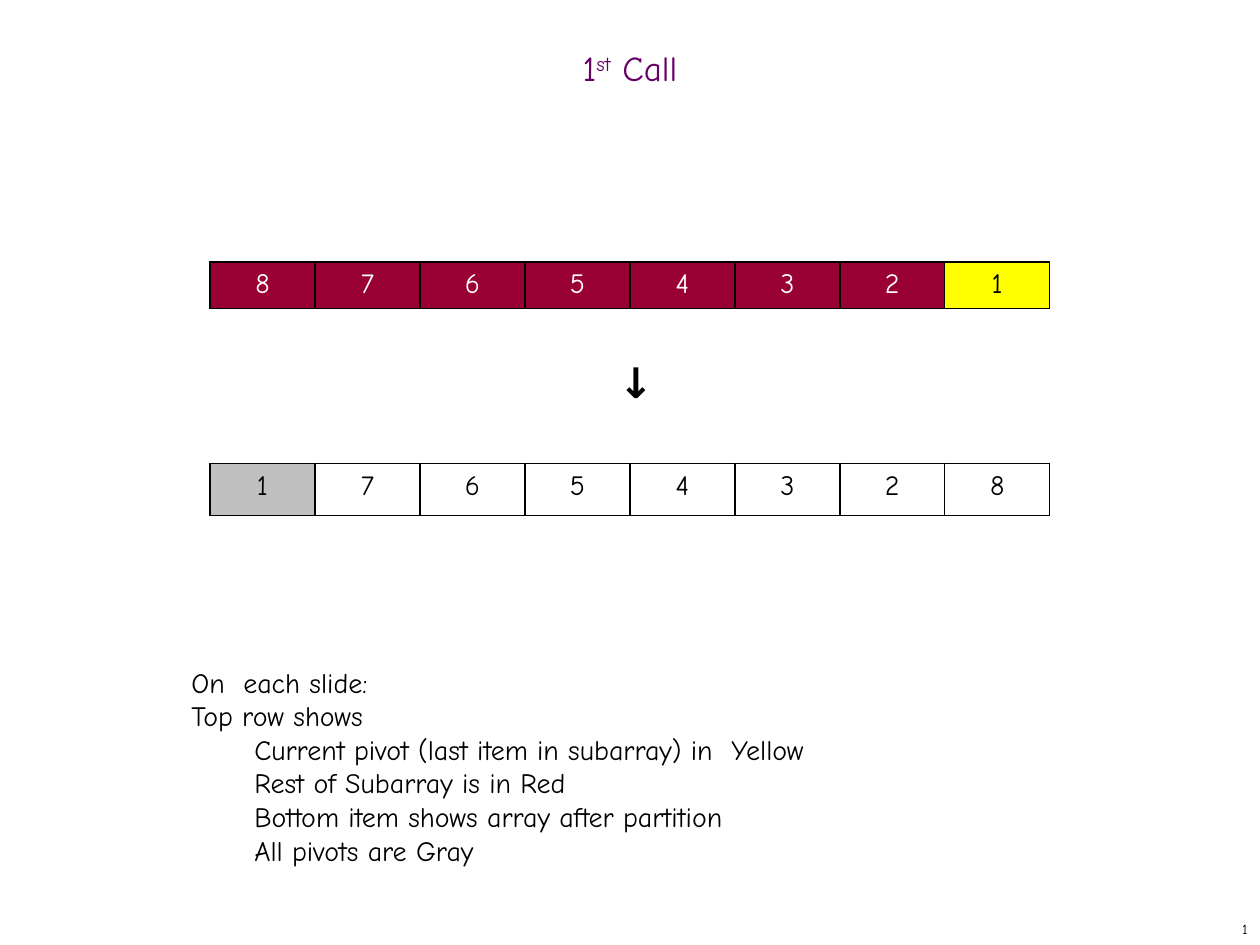
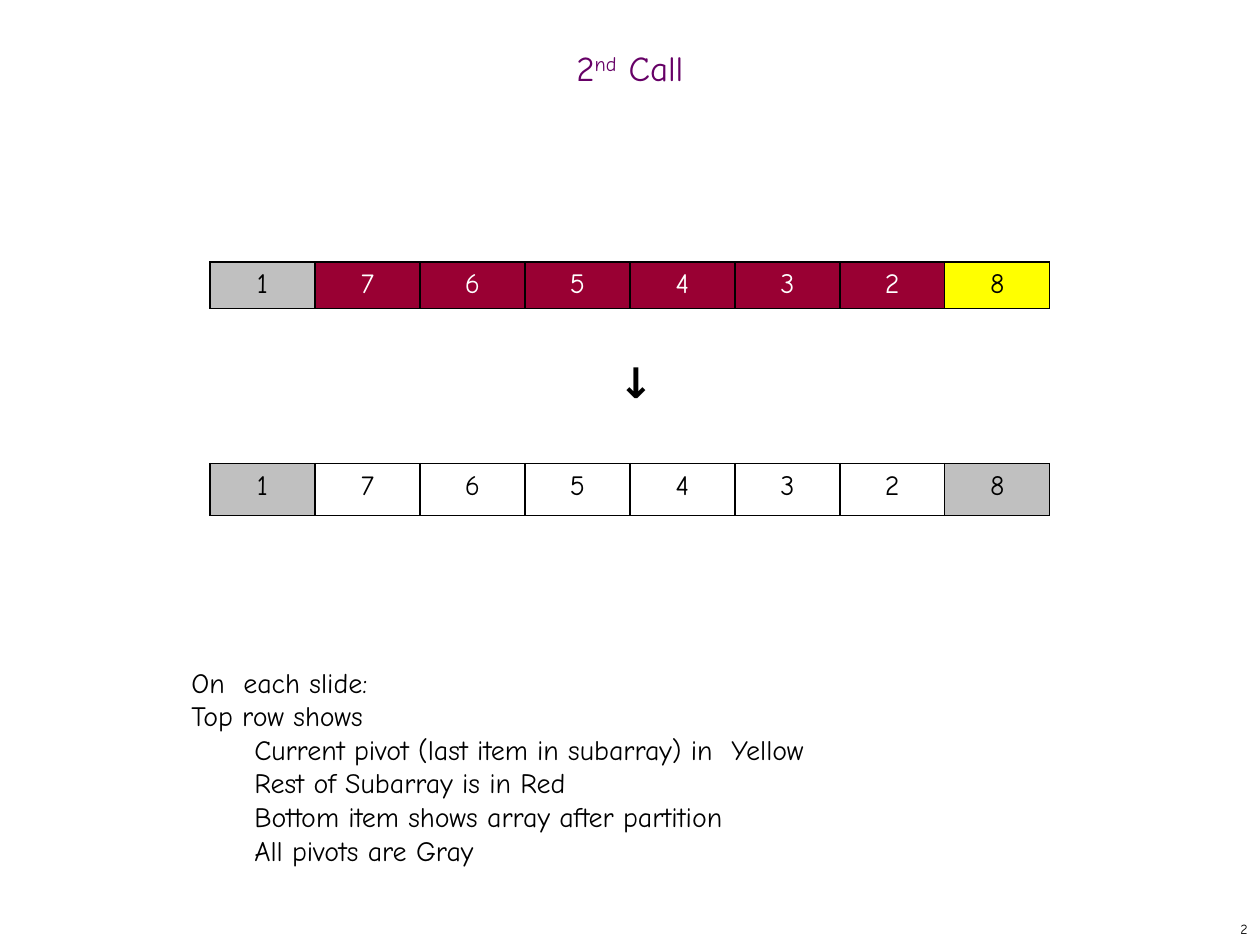
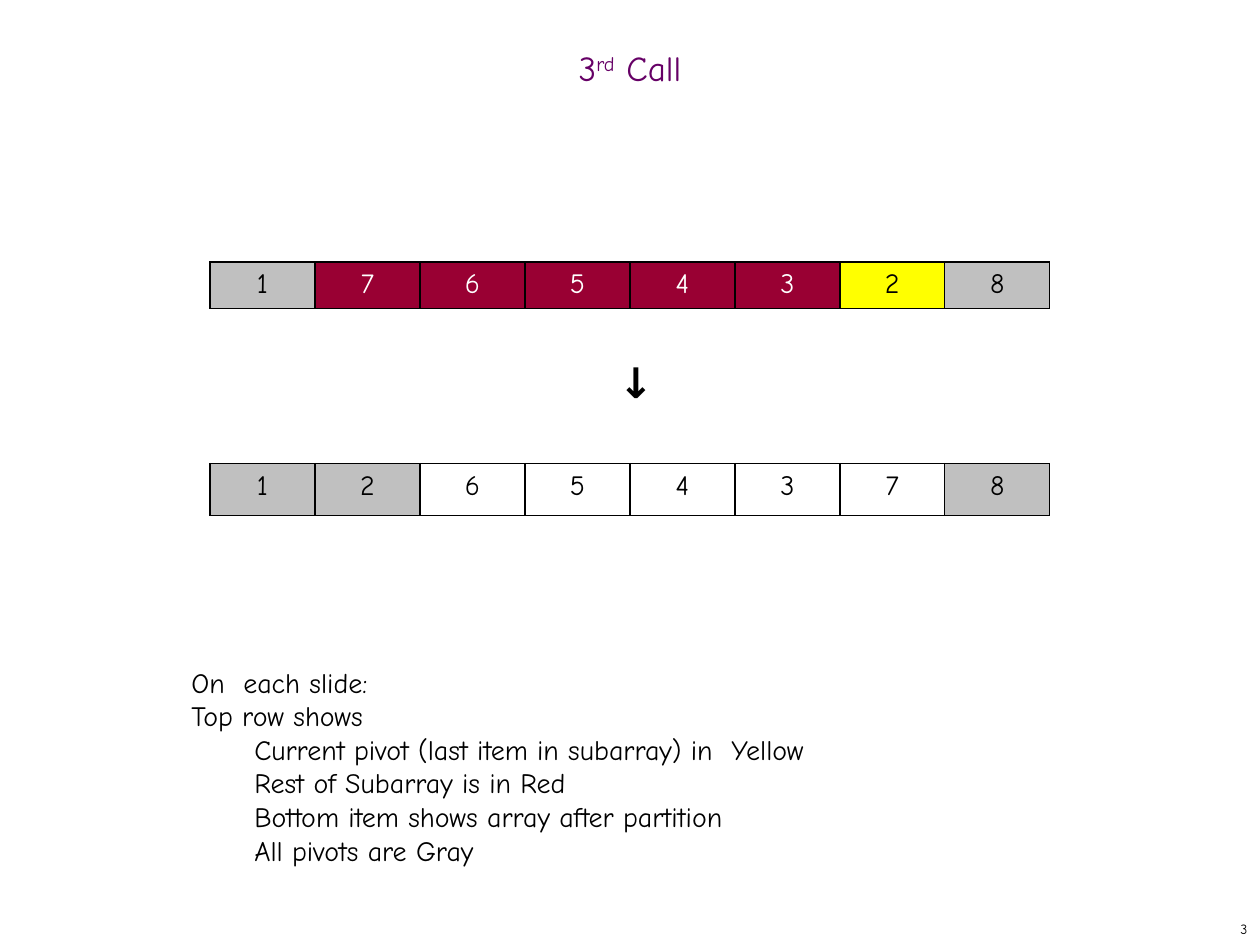
from lxml.etree import SubElement
from pptx import Presentation
from pptx.dml.color import RGBColor
from pptx.enum.text import MSO_ANCHOR as Anchor, MSO_AUTO_SIZE as AutoSize, PP_ALIGN as Align
from pptx.oxml.ns import qn
from pptx.util import Inches, Pt

FONT = "Comic Neue"
BLACK, WHITE, PURPLE = "000000", "FFFFFF", "660066"
RED, YELLOW, GRAY = "990033", "FFFF00", "C0C0C0"

deck = Presentation()
deck.slide_width, deck.slide_height = Inches(10), Inches(7.5)
WIDTH, HEIGHT = deck.slide_width, deck.slide_height
COLUMN = WIDTH // 12

GUIDE = [
    ("On  each slide:", 0),
    ("Top row shows", 0),
    ("Current pivot (last item in subarray) in  Yellow\vRest of Subarray is in Red", 1),
    ("Bottom item shows array after partition", 1),
    ("All pivots are Gray", 1),
]

# ordinal suffix, first and last index of the subarray, array after partition
CALLS = [
    ("st", 0, 7, "17654328"),
    ("nd", 1, 7, "17654328"),
    ("rd", 1, 6, "12654378"),
]


def style(para, size, colour=BLACK, align=Align.LEFT):
    para.alignment = align
    para.font.name, para.font.size = FONT, Pt(size)
    para.font.color.rgb = RGBColor.from_string(colour)


def add_row(page, top, height, values, fills):
    """Draw an array as a one-row bordered table; a fill of None leaves a cell clear."""
    frame = page.shapes.add_table(1, len(values), 2 * COLUMN, top, len(values) * COLUMN, height)
    table = frame.table
    table.first_row = table.horz_banding = False
    for cell, value, fill in zip(table.iter_cells(), values, fills):
        cell.text = value
        style(cell.text_frame.paragraphs[0], 16, WHITE if fill == RED else BLACK, Align.CENTER)
        for side in ("a:lnL", "a:lnR", "a:lnT", "a:lnB"):
            border = SubElement(cell._tc.get_or_add_tcPr(), qn(side), w=str(Pt(1)))
            SubElement(SubElement(border, qn("a:solidFill")), qn("a:srgbClr"), val=BLACK)
        if fill:
            cell.fill.solid()
            cell.fill.fore_color.rgb = RGBColor.from_string(fill)
        else:
            cell.fill.background()


array = "87654321"
settled = set()
for number, (suffix, first, last, result) in enumerate(CALLS, 1):
    page = deck.slides.add_slide(deck.slide_layouts[6])

    title = page.shapes.add_textbox(0, Inches(0.33), WIDTH, Inches(0.5)).text_frame
    title.word_wrap, title.vertical_anchor = True, Anchor.MIDDLE
    para = title.paragraphs[0]
    para.line_spacing = 0.7
    style(para, 20, PURPLE, Align.CENTER)
    for text in (str(number), suffix, " Call"):
        span = para.add_run()
        span.text = text
        if text == suffix:
            span.font._element.set("baseline", "30000")

    box = page.shapes.add_textbox(WIDTH - Inches(2.08), HEIGHT - Inches(0.25), Inches(2.08), Inches(0.25))
    footer = box.text_frame
    footer.word_wrap, footer.vertical_anchor = False, Anchor.MIDDLE
    footer.text = str(number)
    style(footer.paragraphs[0], 8, align=Align.RIGHT)

    arrow = page.shapes.add_textbox(Inches(4.81), Inches(2.78), Inches(0.37), Inches(0.5)).text_frame
    arrow.word_wrap, arrow.auto_size = False, AutoSize.SHAPE_TO_FIT_TEXT
    arrow.text = "↓"
    style(arrow.paragraphs[0], 24)
    arrow.paragraphs[0].font.bold = True

    guide = page.shapes.add_textbox(Inches(1.42), Inches(5.23), Inches(7.99), Inches(1.72)).text_frame
    guide.word_wrap, guide.auto_size = True, AutoSize.SHAPE_TO_FIT_TEXT
    for index, (text, level) in enumerate(GUIDE):
        para = guide.add_paragraph() if index else guide.paragraphs[0]
        para.text, para.level = text, level
        para._p.get_or_add_pPr().set("marL", str(Inches(0.5) * level))
        style(para, 16)

    before = [YELLOW if i == last else RED if first <= i < last else GRAY for i in range(len(array))]
    settled.add(array[last])
    after = [GRAY if value in settled else None for value in result]
    add_row(page, Inches(3.68), Inches(0.41), result, after)
    add_row(page, Inches(2.08), Inches(0.37), array, before)
    array = result

deck.save("out.pptx")
